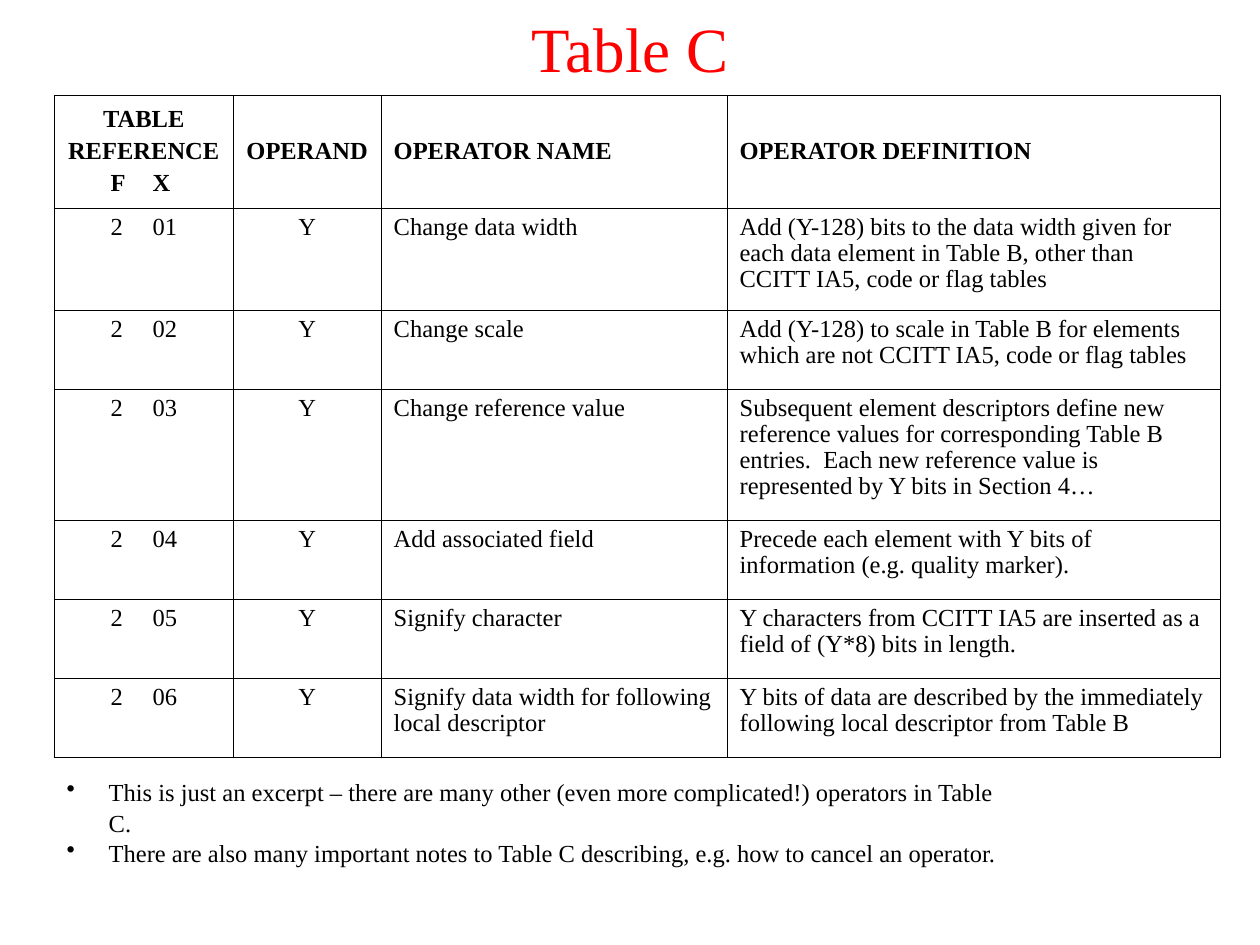
from lxml import etree
from pptx import Presentation
from pptx.dml.color import RGBColor
from pptx.enum.text import MSO_ANCHOR, PP_ALIGN
from pptx.oxml.ns import qn
from pptx.util import Pt

CENTER, LEFT = PP_ALIGN.CENTER, PP_ALIGN.LEFT
MIDDLE, TOP = MSO_ANCHOR.MIDDLE, MSO_ANCHOR.TOP
FONT = "Times New Roman"
BLACK, RED = "000000", "FF0000"
TITLE_LAYOUT = 5

COLUMN_WIDTHS = [102.3, 84.5, 197.7, 282]
ROW_HEIGHTS = [64.5, 58.3, 45.1, 74.9, 45.1, 45.1, 45.1]
COLUMN_ALIGNMENTS = [CENTER, CENTER, LEFT, LEFT]

HEADINGS = ["TABLE\nREFERENCE\nF\tX", "OPERAND", "OPERATOR NAME", "OPERATOR DEFINITION"]
# X value, operator name, operator definition; F is always 2 and the operand Y
OPERATORS = [
    ("01", "Change data width",
     "Add (Y-128) bits to the data width given for each data element in Table B, "
     "other than CCITT IA5, code or flag tables"),
    ("02", "Change scale",
     "Add (Y-128) to scale in Table B for elements which are not CCITT IA5, "
     "code or flag tables"),
    ("03", "Change reference value",
     "Subsequent element descriptors define new reference values for corresponding "
     "Table B entries.  Each new reference value is represented by Y bits in Section 4…"),
    ("04", "Add associated field",
     "Precede each element with Y bits of information (e.g. quality marker)."),
    ("05", "Signify character",
     "Y characters from CCITT IA5 are inserted as a field of (Y*8) bits in length."),
    ("06", "Signify data width for following local descriptor",
     "Y bits of data are described by the immediately following local descriptor "
     "from Table B"),
]
NOTES = [
    "This is just an excerpt – there are many other (even more complicated!) "
    "operators in Table C.",
    "There are also many important notes to Table C describing, e.g. how to cancel "
    "an operator.",
]


def rgb(color):
    return RGBColor.from_string(color)


def format_runs(paragraph, size, color=BLACK, bold=False):
    for run in paragraph.runs:
        run.font.name = FONT
        run.font.size = Pt(size)
        run.font.bold = bold
        run.font.color.rgb = rgb(color)


def set_hanging_indent(paragraph, margin, hang):
    properties = paragraph._p.get_or_add_pPr()
    properties.set("marL", str(Pt(margin)))
    properties.set("indent", str(-Pt(hang)))
    return properties


def add_title(slide, text):
    title = slide.shapes.title
    title.left, title.top, title.width, title.height = Pt(54), Pt(0), Pt(612), Pt(54)
    frame = title.text_frame
    frame.text = text
    frame.vertical_anchor = MIDDLE
    frame.paragraphs[0].alignment = CENTER
    format_runs(frame.paragraphs[0], 36, RED)


def add_cell_borders(cell):
    properties = cell._tc.get_or_add_tcPr()
    for position, side in enumerate(("lnL", "lnR", "lnT", "lnB")):
        border = etree.Element(qn(f"a:{side}"), w=str(Pt(0.45)))
        fill = etree.SubElement(border, qn("a:solidFill"))
        etree.SubElement(fill, qn("a:srgbClr"), val=BLACK)
        properties.insert(position, border)


def fill_cell(cell, text, alignment, heading):
    cell.text_frame.text = text
    cell.vertical_anchor = MIDDLE if heading else TOP
    cell.fill.background()
    for paragraph in cell.text_frame.paragraphs:
        paragraph.alignment = alignment
        paragraph.space_before = Pt(3.5)
        paragraph.line_spacing = 0.96
        if "\t" in paragraph.text:
            # F and X values line up: the tab leads to the hanging margin
            paragraph.alignment = LEFT
            set_hanging_indent(paragraph, 49, 24)
        format_runs(paragraph, 14, bold=heading)
    add_cell_borders(cell)


def add_operator_table(slide):
    rows = [HEADINGS] + [[f"2\t{x}", "Y", name, definition]
                         for x, name, definition in OPERATORS]
    table = slide.shapes.add_table(
        len(rows), len(HEADINGS), Pt(31), Pt(54.6),
        Pt(sum(COLUMN_WIDTHS)), Pt(sum(ROW_HEIGHTS))).table
    table.first_row = table.horz_banding = False
    for column, width in zip(table.columns, COLUMN_WIDTHS):
        column.width = Pt(width)
    for row_index, (texts, height) in enumerate(zip(rows, ROW_HEIGHTS)):
        table.rows[row_index].height = Pt(height)
        for column_index, (text, alignment) in enumerate(zip(texts, COLUMN_ALIGNMENTS)):
            fill_cell(table.cell(row_index, column_index), text, alignment,
                      heading=row_index == 0)


def add_notes_list(slide):
    notes = slide.shapes.add_textbox(Pt(31), Pt(440), Pt(558), Pt(41)).text_frame
    notes.word_wrap = True
    notes.text = "\n".join(NOTES)
    for paragraph in notes.paragraphs:
        paragraph.line_spacing = 1.04
        properties = set_hanging_indent(paragraph, 24, 24)
        bullet_color = etree.SubElement(properties, qn("a:buClr"))
        etree.SubElement(bullet_color, qn("a:srgbClr"), val=BLACK)
        etree.SubElement(properties, qn("a:buChar"), char="•")
        format_runs(paragraph, 14)


def main():
    presentation = Presentation()
    presentation.slide_width, presentation.slide_height = Pt(720), Pt(540)
    slide = presentation.slides.add_slide(presentation.slide_layouts[TITLE_LAYOUT])
    add_title(slide, "Table C")
    add_operator_table(slide)
    add_notes_list(slide)
    presentation.save("out.pptx")


if __name__ == "__main__":
    main()
